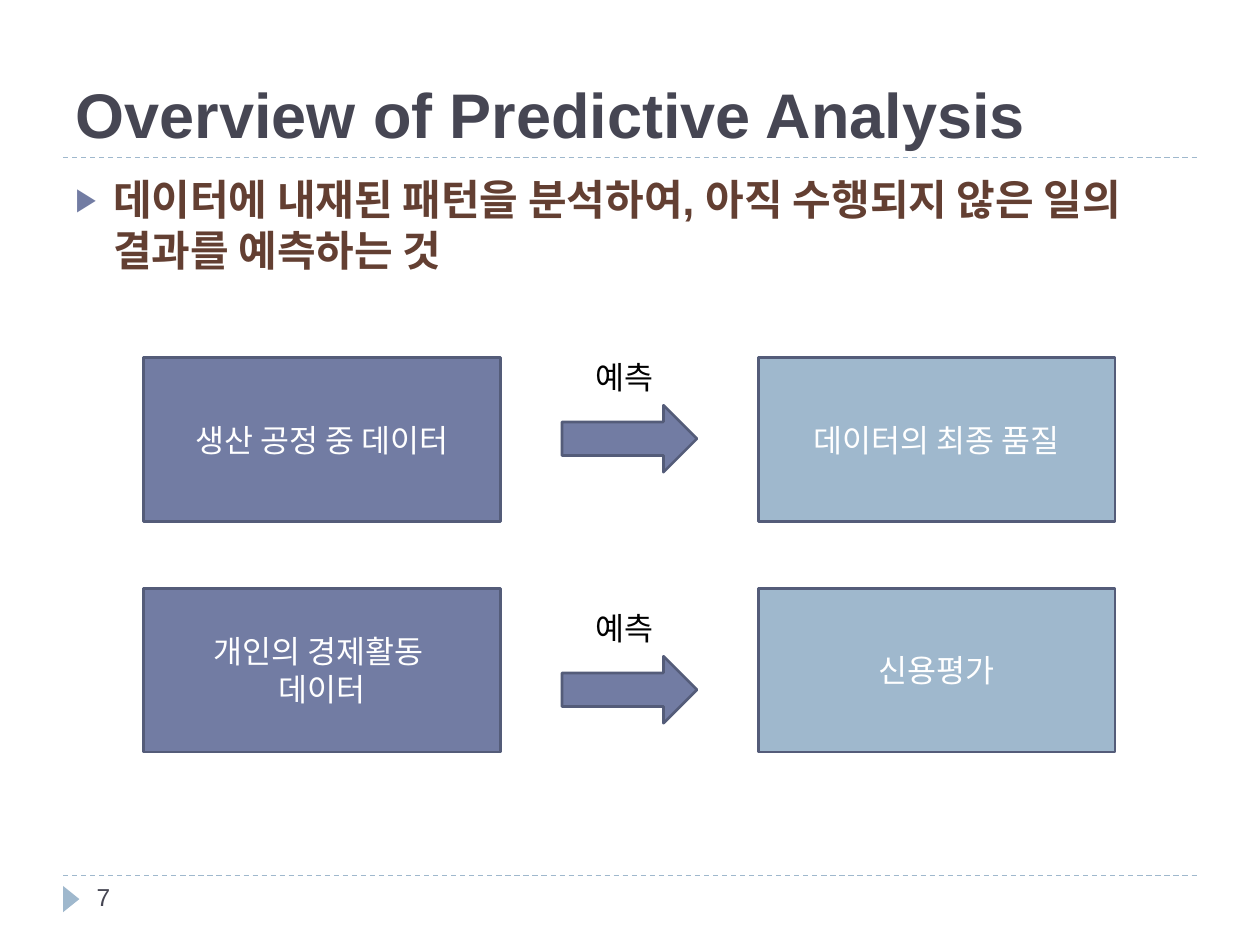
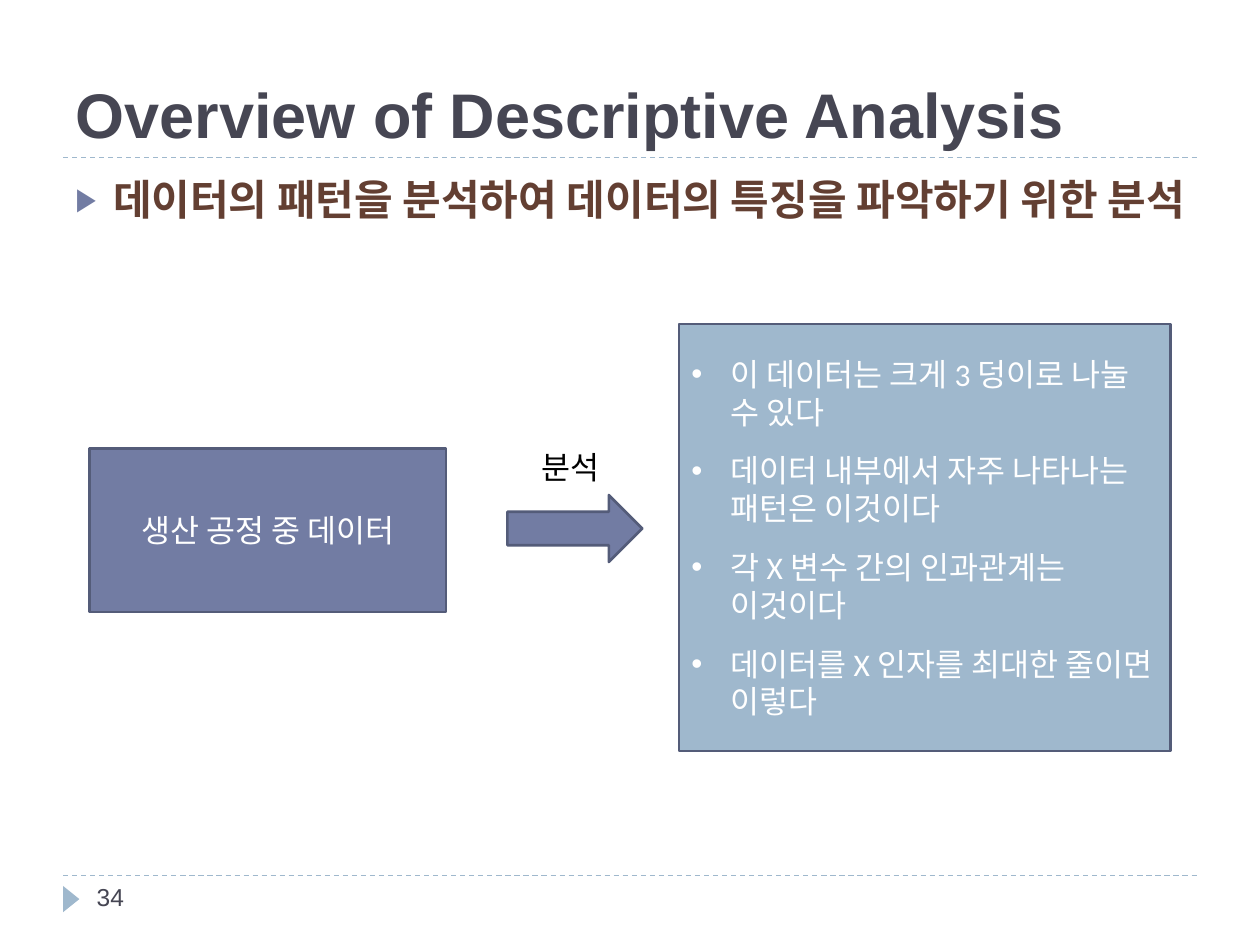
from lxml import etree
from pptx import Presentation
from pptx.dml.color import RGBColor
from pptx.enum import dml, shapes, text
from pptx.oxml import ns
from pptx.util import Cm, Pt

INK, BROWN, WHITE, BLACK = "464653", "633F32", "FFFFFF", "000000"
PURPLE, BLUE, OUTLINE = "727CA3", "9FB8CD", "545C79"
MARGIN, CONTENT_WIDTH = 1.27, 22.86
BLOCK_WIDTH, BLOCK_HEIGHT = 7.19, 3.3
ARROW_OFFSET, ARROW_WIDTH, ARROW_HEIGHT = 8.43, 2.72, 1.35

# A flow: source lines, left, top, arrow top, arrow label, result lines, result box
SLIDES = [
    ("Overview of Predictive Analysis", "7",
     "데이터에 내재된 패턴을 분석하여, 아직 수행되지 않은 일의 결과를 예측하는 것",
     [(["생산 공정 중 데이터"], 2.9, 7.21, 8.17, "예측",
       ["데이터의 최종 품질"], (15.29, 7.21, BLOCK_WIDTH, BLOCK_HEIGHT)),
      (["개인의 경제활동 ", "데이터"], 2.9, 11.86, 13.23, "예측",
       ["신용평가"], (15.29, 11.86, BLOCK_WIDTH, BLOCK_HEIGHT))]),
    ("Overview of Descriptive Analysis", "34",
     "데이터의 패턴을 분석하여 데이터의 특징을 파악하기 위한 분석",
     [(["생산 공정 중 데이터"], 1.8, 9.04, 9.98, "분석",
       ["이 데이터는 크게 3 덩이로 나눌 수 있다",
        "데이터 내부에서 자주 나타나는 패턴은 이것이다",
        "각 X 변수 간의 인과관계는 이것이다",
        "데이터를 X 인자를 최대한 줄이면 이렇다"], (13.69, 6.53, 9.91, 8.61))]),
]


def rgb(hex_colour):
    return RGBColor.from_string(hex_colour)


def write(shape, lines, font, size, colour, bold=False, align=text.PP_ALIGN.LEFT,
          bullet=None, bullet_colour=WHITE, bullet_percent=100, indent=0.79):
    """Fill a shape with one paragraph per line, bulleted if a bullet is given."""
    frame = shape.text_frame
    frame.text = "\n".join(lines)
    for paragraph in frame.paragraphs:
        paragraph.alignment = align
        paragraph.font.name, paragraph.font.size = font, Pt(size)
        paragraph.font.bold, paragraph.font.color.rgb = bold, rgb(colour)
        if bullet:
            paragraph.space_before = Pt(12)
            props = paragraph._p.get_or_add_pPr()
            props.set("marL", str(Cm(indent)))
            props.set("indent", str(-Cm(indent)))
            marks = etree.fromstring(
                f'<a:marks {ns.nsdecls("a")}>'
                f'<a:buClr><a:srgbClr val="{bullet_colour}"/></a:buClr>'
                f'<a:buSzPct val="{bullet_percent * 1000}"/>'
                f'<a:buFont typeface="Arial"/><a:buChar char="{bullet}"/></a:marks>')
            for mark in list(marks):
                props.find(ns.qn("a:defRPr")).addprevious(mark)


deck = Presentation()
deck.slide_width, deck.slide_height = Cm(25.4), Cm(19.05)

for heading, number, summary, flows in SLIDES:
    slide = deck.slides.add_slide(deck.slide_layouts[5])

    for y in (17.65, 3.18):
        rule = slide.shapes.add_connector(shapes.MSO_CONNECTOR.STRAIGHT, Cm(MARGIN), Cm(y),
                                          Cm(MARGIN + CONTENT_WIDTH), Cm(y))
        rule.line.color.rgb, rule.line.width = rgb(BLUE), Pt(0.75)
        rule.line.dash_style = dml.MSO_LINE.DASH
        etree.SubElement(rule._element.spPr, ns.qn("a:effectLst"))

    marker = slide.shapes.add_shape(shapes.MSO_SHAPE.ISOSCELES_TRIANGLE,
                                    Cm(1.17), Cm(17.96), Cm(0.53), Cm(0.33))
    marker.rotation = 90
    marker.shadow.inherit = False
    marker.fill.solid()
    marker.fill.fore_color.rgb = rgb(BLUE)
    marker.line.fill.background()

    title = slide.shapes.title
    title.left, title.top = Cm(MARGIN), Cm(0.43)
    title.width, title.height = Cm(CONTENT_WIDTH), Cm(2.75)
    title.text_frame.vertical_anchor = text.MSO_ANCHOR.BOTTOM
    title.text_frame.auto_size = text.MSO_AUTO_SIZE.NONE
    write(title, [heading], "Arial", 36, INK, bold=True)

    body = slide.shapes.add_textbox(Cm(MARGIN), Cm(3.38), Cm(CONTENT_WIDTH), Cm(13.72))
    body.text_frame.word_wrap = True
    write(body, [summary], "Arial", 24, BROWN, bold=True, bullet="▶",
          bullet_colour=PURPLE, bullet_percent=76, indent=0.76)

    for source_lines, left, top, arrow_top, action, result_lines, result_box in flows:
        arrow_left = left + ARROW_OFFSET
        source_box = (left, top, BLOCK_WIDTH, BLOCK_HEIGHT)
        arrow_box = (arrow_left, arrow_top, ARROW_WIDTH, ARROW_HEIGHT)
        for preset, box, fill, lines in (
                (shapes.MSO_SHAPE.RECTANGLE, source_box, PURPLE, source_lines),
                (shapes.MSO_SHAPE.RECTANGLE, result_box, BLUE, result_lines),
                (shapes.MSO_SHAPE.RIGHT_ARROW, arrow_box, PURPLE, [])):
            block = slide.shapes.add_shape(preset, *map(Cm, box))
            block.shadow.inherit = False
            block.fill.solid()
            block.fill.fore_color.rgb = rgb(fill)
            block.line.color.rgb, block.line.width = rgb(OUTLINE), Pt(1.5)
            block.text_frame.vertical_anchor = text.MSO_ANCHOR.MIDDLE
            if len(lines) > 2:
                write(block, lines, "Calibri", 18, WHITE, bullet="•")
            elif lines:
                write(block, lines, "Calibri", 18, WHITE, align=text.PP_ALIGN.CENTER)

        label = slide.shapes.add_textbox(Cm(arrow_left + 0.43), Cm(arrow_top - 1.07),
                                         Cm(1.8), Cm(1.02))
        label.text_frame.word_wrap = False
        label.text_frame.auto_size = text.MSO_AUTO_SIZE.SHAPE_TO_FIT_TEXT
        write(label, [action], "Calibri", 18, BLACK)

    page = slide.shapes.add_textbox(Cm(1.7), Cm(17.65), Cm(5.51), Cm(1.02))
    page.text_frame.word_wrap = True
    write(page, [number], "Arial", 14, INK)

deck.save("out.pptx")
